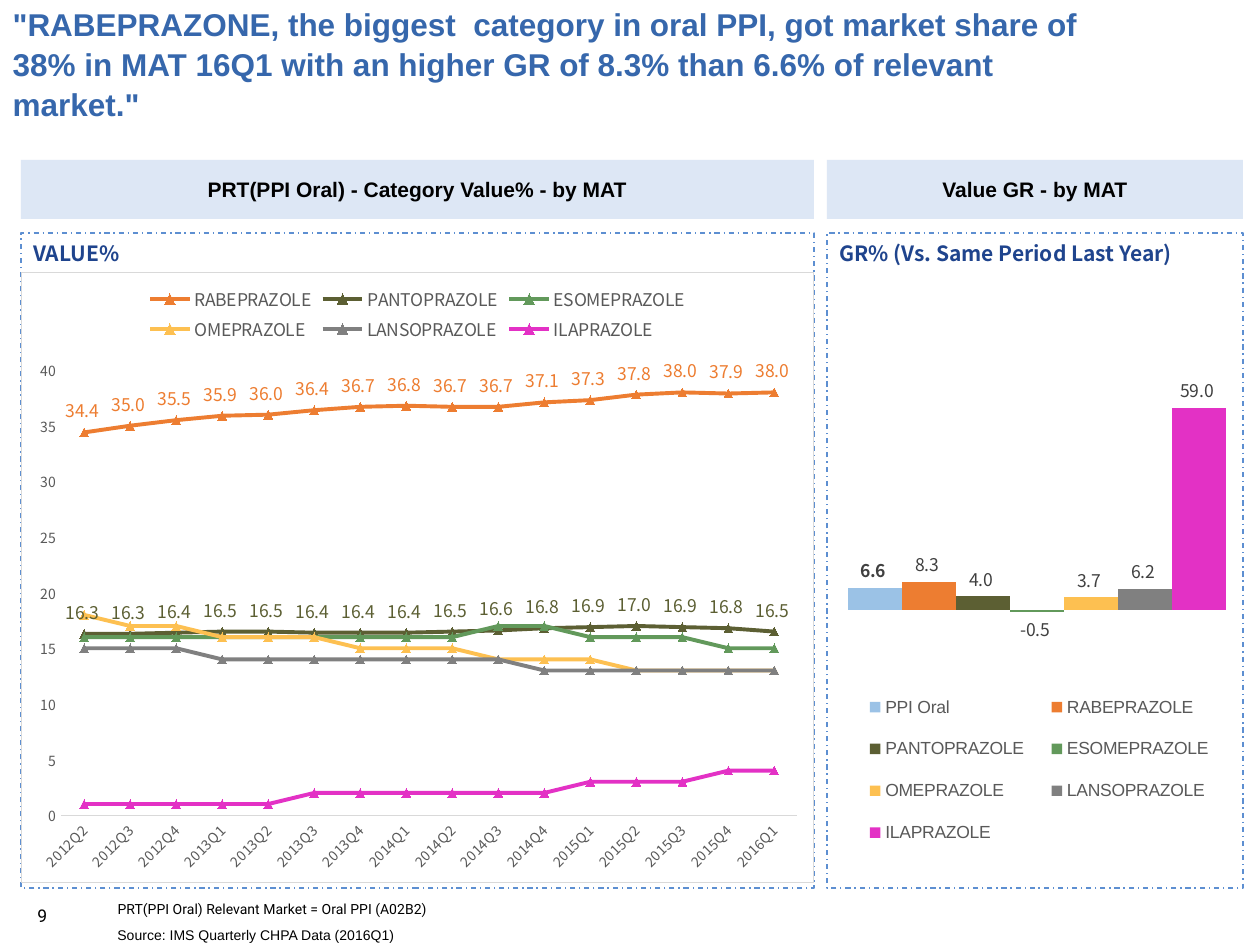
import pptx
import pptx.util
import pptx.chart.data
import pptx.dml.color
import pptx.enum.chart
import pptx.enum.dml
import pptx.enum.shapes
import pptx.enum.text
import pptx.oxml
import pptx.oxml.ns

RGB = pptx.dml.color.RGBColor
Pt = pptx.util.Pt
ANCHOR = pptx.enum.text.MSO_ANCHOR
ALIGN = pptx.enum.text.PP_ALIGN
XL = pptx.enum.chart
qn = pptx.oxml.ns.qn

PX_PER_INCH = 126
SANS, CJK, ROBOTO = "Arial", "Noto Sans CJK SC", "Roboto"

BLACK = RGB(0x00, 0x00, 0x00)
TITLE_BLUE = RGB(0x36, 0x67, 0xAC)
HEADING_BLUE = RGB(0x1F, 0x44, 0x8D)
BAND_BLUE = RGB(0xAB, 0xC5, 0xE7)
FRAME_BLUE = RGB(0x5D, 0x8F, 0xD1)
TEXT_GREY = RGB(0x59, 0x59, 0x59)
LABEL_GREY = RGB(0x40, 0x40, 0x40)
RULE_GREY = RGB(0xD9, 0xD9, 0xD9)
MARKET = RGB(0x9B, 0xC2, 0xE6)
ORANGE = RGB(0xED, 0x7D, 0x31)
OLIVE = RGB(0x5C, 0x5F, 0x33)
GREEN = RGB(0x62, 0x99, 0x5B)
YELLOW = RGB(0xFD, 0xC0, 0x51)
GREY = RGB(0x80, 0x80, 0x80)
MAGENTA = RGB(0xE3, 0x31, 0xC5)

QUARTERS = [f"{2012 + n // 4}Q{n % 4 + 1}" for n in range(1, 17)]
# name, colour, share by quarter, growth, whether the line is labelled
CATEGORIES = [
    ("RABEPRAZOLE", ORANGE, [34.4, 35, 35.5, 35.9, 36, 36.4, 36.7, 36.8, 36.7, 36.7,
                             37.1, 37.3, 37.8, 38, 37.9, 38], 8.3, True),
    ("PANTOPRAZOLE", OLIVE, [16.3, 16.3, 16.4, 16.5, 16.5, 16.4, 16.4, 16.4, 16.5, 16.6,
                             16.8, 16.9, 17, 16.9, 16.8, 16.5], 4, True),
    ("ESOMEPRAZOLE", GREEN, [16, 16, 16, 16, 16, 16, 16, 16, 16, 17, 17, 16, 16, 16, 15, 15],
     -0.5, False),
    ("OMEPRAZOLE", YELLOW, [18, 17, 17, 16, 16, 16, 15, 15, 15, 14, 14, 14, 13, 13, 13, 13],
     3.7, False),
    ("LANSOPRAZOLE", GREY, [15, 15, 15, 14, 14, 14, 14, 14, 14, 14, 13, 13, 13, 13, 13, 13],
     6.2, False),
    ("ILAPRAZOLE", MAGENTA, [1, 1, 1, 1, 1, 2, 2, 2, 2, 2, 2, 3, 3, 3, 4, 4], 59, False),
]


def px(n):
    return pptx.util.Emu(round(n * 914400 / PX_PER_INCH))


def place(sp, x, y, w, h):
    sp.left, sp.top, sp.width, sp.height = px(x), px(y), px(w), px(h)


def set_font(font, size, name, color, bold=False):
    font.size, font.name, font.bold = Pt(size), name, bold
    font.color.rgb = color


def write(sp, text, size, name, color, bold=False, align=ALIGN.LEFT, anchor=ANCHOR.MIDDLE):
    tf = sp.text_frame
    tf.text = text
    tf.word_wrap = True
    tf.auto_size = pptx.enum.text.MSO_AUTO_SIZE.NONE
    tf.vertical_anchor = anchor
    p = tf.paragraphs[0]
    p.alignment = align
    p.space_before = Pt(0)
    set_font(p.runs[0].font, size, name, color, bold)
    return p


def add_text(slide, box, *args, **kwargs):
    return write(slide.shapes.add_textbox(*map(px, box)), *args, **kwargs)


def add_rect(slide, box):
    sp = slide.shapes.add_shape(pptx.enum.shapes.MSO_SHAPE.RECTANGLE, *map(px, box))
    sp.shadow.inherit = False
    return sp


def add_headline(slide, box, text):
    sp = slide.shapes.title
    place(sp, *box)
    write(sp, text, 18, SANS, TITLE_BLUE, True).line_spacing = 1.05


def add_panel(slide, box, title, heading):
    """Header band, dashed frame and heading; returns the box left for the chart."""
    x, y, w, h = box
    band = add_rect(slide, (x, y, w, 59))
    band.fill.solid()
    band.fill.fore_color.rgb = BAND_BLUE
    color = band.fill._xPr.find(".//" + qn("a:srgbClr"))
    color.append(pptx.oxml.parse_xml(
        f'<a:alpha {pptx.oxml.ns.nsdecls("a")} val="40000"/>'))
    band.line.fill.background()
    write(band, title, 12, SANS, BLACK, True, ALIGN.CENTER)

    add_text(slide, (x, y + 74, w, 38), heading, 12, CJK, HEADING_BLUE, True,
             anchor=ANCHOR.TOP)
    frame = add_rect(slide, (x, y + 73, w, h - 73))
    frame.fill.background()
    frame.line.color.rgb = FRAME_BLUE
    frame.line.width = Pt(0.75)
    frame.line.dash_style = pptx.enum.dml.MSO_LINE.DASH_DOT
    return x, y + 112, w, h - 117


def set_layout(element, x, y, w, h, inner=False):
    """Fix a plot area or legend at fractions of its chart."""
    for old in element.findall(qn("c:layout")):
        element.remove(old)
    target = '<c:layoutTarget val="inner"/>' if inner else ""
    layout = pptx.oxml.parse_xml(
        f'<c:layout {pptx.oxml.ns.nsdecls("c")}><c:manualLayout>{target}'
        '<c:xMode val="edge"/><c:yMode val="edge"/>'
        f'<c:x val="{x}"/><c:y val="{y}"/><c:w val="{w}"/><c:h val="{h}"/>'
        '</c:manualLayout></c:layout>')
    position = element.find(qn("c:legendPos"))
    if position is None:
        element.insert(0, layout)
    else:
        position.addnext(layout)


def add_chart(slide, box, kind, cats, series, plot, legend_pos, legend_font):
    data = pptx.chart.data.CategoryChartData()
    data.categories = cats
    for name, values in series:
        data.add_series(name, values)
    chart = slide.shapes.add_chart(kind, *map(px, box), data).chart
    set_font(chart.font, 10, CJK, BLACK)
    chart.has_title = False
    chart.has_legend = True
    chart.legend.position = legend_pos
    chart.legend.include_in_layout = False
    set_font(chart.legend.font, 10, legend_font, TEXT_GREY)
    chart.value_axis.has_major_gridlines = False
    chart.plots[0].vary_by_categories = False
    set_layout(chart._chartSpace.chart.plotArea, *plot, inner=True)
    return chart


def label_series(series, position, color, bold=False):
    labels = series.data_labels
    labels.show_value = True
    labels.number_format = "#,##0.0_ "
    labels.number_format_is_linked = False
    labels.position = position
    set_font(labels.font, 10, CJK, color, bold)


def add_share_chart(slide, box):
    chart = add_chart(slide, box, XL.XL_CHART_TYPE.LINE_MARKERS, QUARTERS,
                      [(name, shares) for name, _, shares, _, _ in CATEGORIES],
                      (0.05, 0.16, 0.93, 0.73), XL.XL_LEGEND_POSITION.TOP, CJK)
    for axis in (chart.category_axis, chart.value_axis):
        axis.major_tick_mark = axis.minor_tick_mark = XL.XL_TICK_MARK.NONE
        set_font(axis.tick_labels.font, 8, CJK, TEXT_GREY)
    dates, values = chart.category_axis, chart.value_axis
    dates.format.line.color.rgb = RULE_GREY
    dates.format.line.width = Pt(0.75)
    dates._element.find(qn("c:txPr")).find(qn("a:bodyPr")).set("rot", "-2700000")
    values.format.line.fill.background()
    values.minimum_scale, values.maximum_scale, values.major_unit = 0, 40, 5
    values.tick_labels.number_format = "#,##0"
    values.tick_labels.number_format_is_linked = False

    for s, (_, color, _, _, labelled) in zip(chart.plots[0].series, CATEGORIES):
        s.smooth = False
        s.format.line.color.rgb = color
        s.format.line.width = Pt(2.25)
        s.marker.style = XL.XL_MARKER_STYLE.TRIANGLE
        s.marker.size = 5
        s.marker.format.fill.solid()
        s.marker.format.fill.fore_color.rgb = color
        s.marker.format.line.color.rgb = color
        if labelled:
            label_series(s, XL.XL_LABEL_POSITION.ABOVE, color)

    # Chart border
    chart._chartSpace.find(qn("c:txPr")).addprevious(pptx.oxml.parse_xml(
        f'<c:spPr {pptx.oxml.ns.nsdecls("c", "a")}><a:noFill/><a:ln w="9525"><a:solidFill>'
        f'<a:srgbClr val="{RULE_GREY}"/></a:solidFill></a:ln></c:spPr>'))


def add_growth_chart(slide, box):
    bars = [("PPI Oral", MARKET, 6.6)]
    bars += [(name, color, growth) for name, color, _, growth, _ in CATEGORIES]
    chart = add_chart(slide, box, XL.XL_CHART_TYPE.COLUMN_CLUSTERED, ["1"],
                      [(name, [growth]) for name, _, growth in bars],
                      (0.05, 0.16, 0.91, 0.45), XL.XL_LEGEND_POSITION.BOTTOM, SANS)
    set_layout(chart.legend._element, 0.05, 0.66, 0.92, 0.31)
    chart.category_axis.visible = chart.value_axis.visible = False
    chart.value_axis.minimum_scale, chart.value_axis.maximum_scale = -10, 70
    chart.plots[0].gap_width, chart.plots[0].overlap = 1, 0
    for i, (s, (_, color, _)) in enumerate(zip(chart.plots[0].series, bars)):
        s.invert_if_negative = False
        s.format.fill.solid()
        s.format.fill.fore_color.rgb = color
        label_series(s, XL.XL_LABEL_POSITION.OUTSIDE_END, LABEL_GREY, bold=i == 0)


def add_footer(slide, box, number, note, source):
    x, y, w, h = box
    add_text(slide, (x, y + 1, 79, 34), number, 10, ROBOTO, BLACK)
    body = slide.placeholders[1]
    place(body, x + 80, y, w - 80, 23)
    p = write(body, note, 8, ROBOTO, BLACK)
    pPr = p._p.get_or_add_pPr()
    pPr.set("marL", "0")
    pPr.set("indent", "0")
    pPr.append(pptx.oxml.parse_xml(f'<a:buNone {pptx.oxml.ns.nsdecls("a")}/>'))
    add_text(slide, (x + 80, y + 23, w - 80, h - 23), source, 8, SANS, BLACK)


def main():
    prs = pptx.Presentation()
    prs.slide_width, prs.slide_height = px(1260), px(945)
    slide = prs.slides.add_slide(prs.slide_layouts[1])
    add_headline(slide, (0, 0, 1123, 126),
                 '"RABEPRAZONE, the biggest  category in oral PPI, got market share of 38% in '
                 'MAT 16Q1 with an higher GR of 8.3% than 6.6% of relevant market."')
    share_box = add_panel(slide, (21, 160, 793, 728),
                          "PRT(PPI Oral) - Category Value% - by MAT", "VALUE%")
    growth_box = add_panel(slide, (827, 160, 416, 728),
                           "Value GR - by MAT", "GR% (Vs. Same Period Last Year)")
    add_growth_chart(slide, growth_box)
    add_share_chart(slide, share_box)
    add_footer(slide, (25, 897, 1128, 53), "9",
               "PRT(PPI Oral) Relevant Market = Oral PPI (A02B2)",
               "Source: IMS Quarterly CHPA Data (2016Q1)")
    prs.save("out.pptx")


if __name__ == "__main__":
    main()
